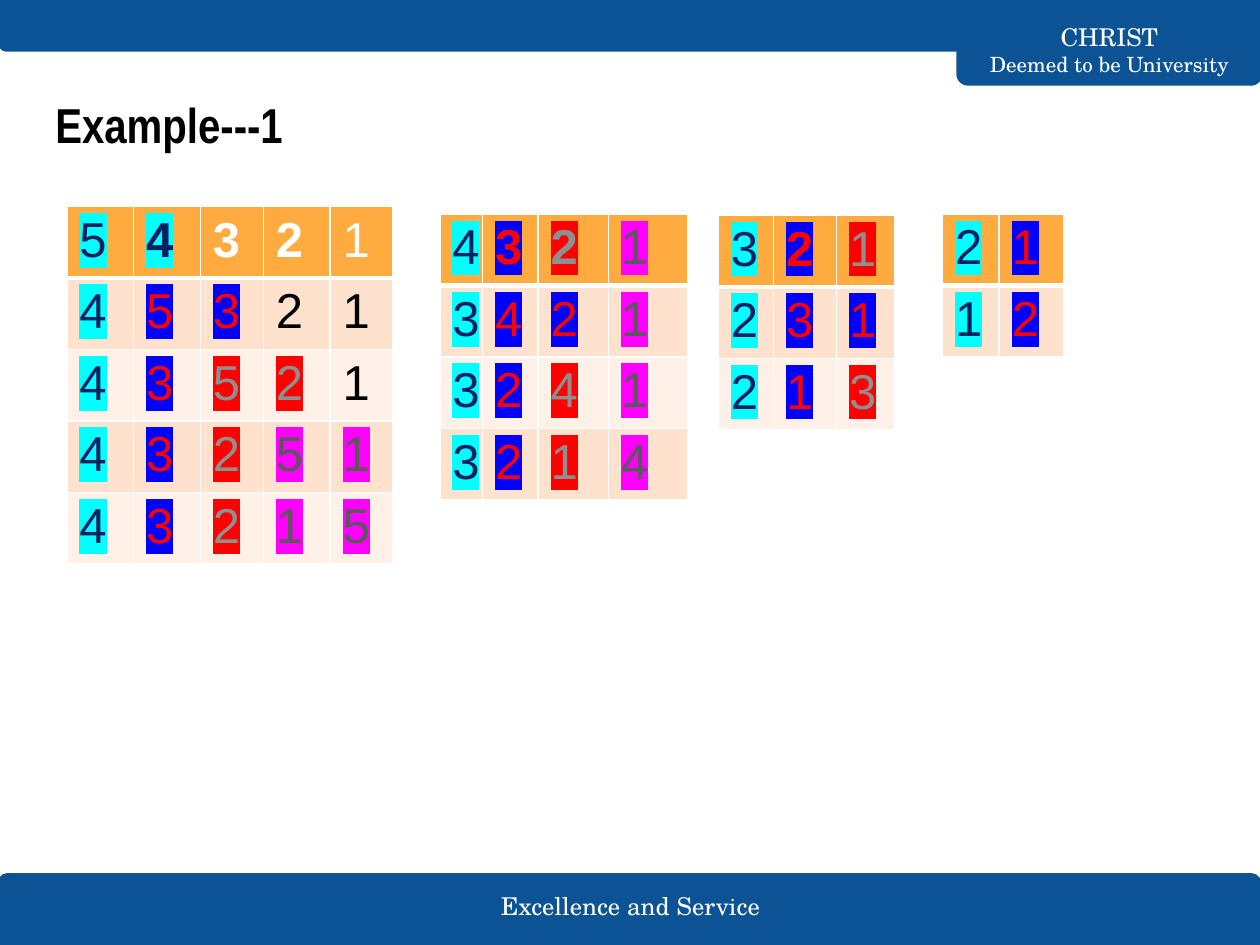
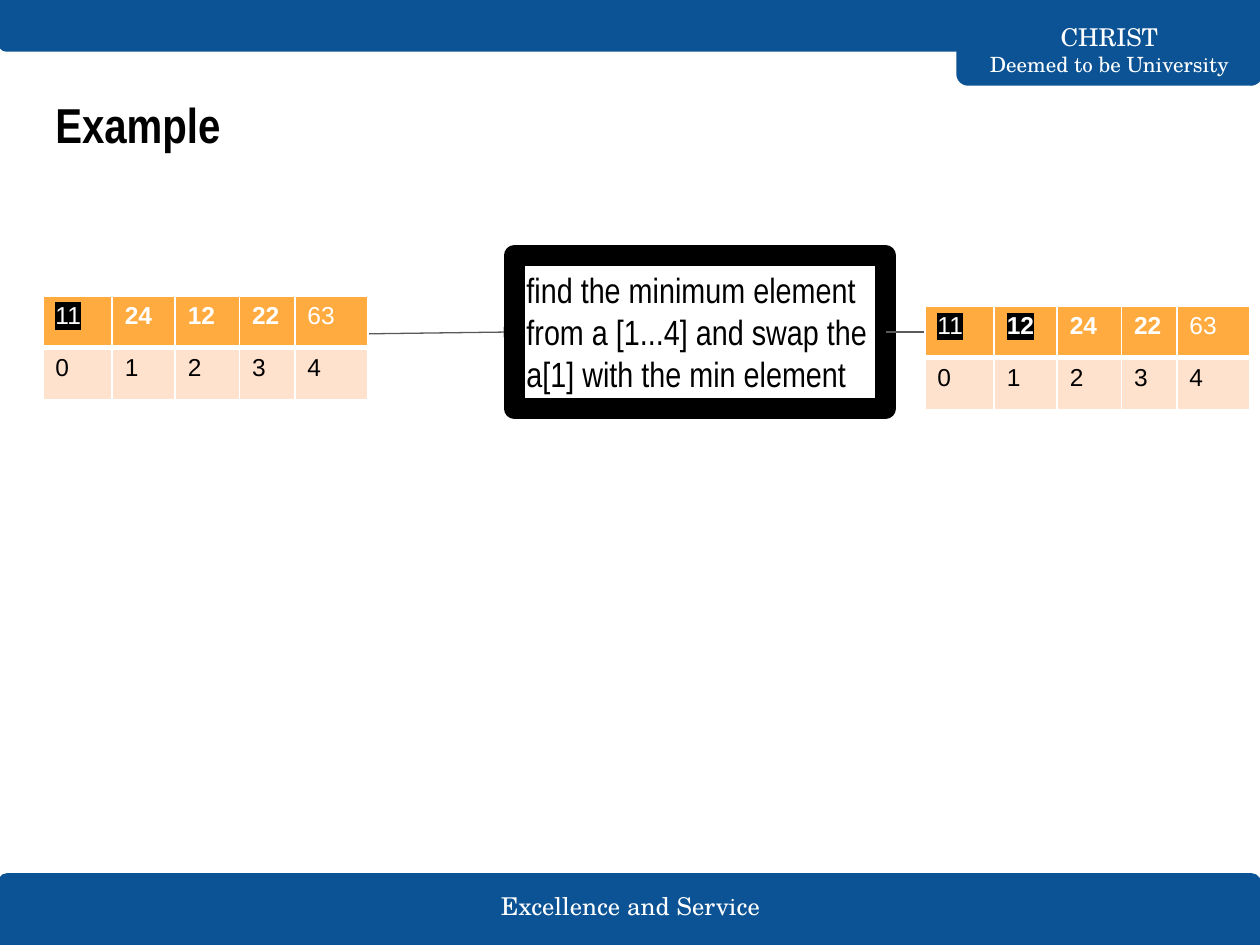
"""Build two slides that walk through small sorting examples with number tables."""
import dataclasses
import typing

import lxml.etree
import pptx
import pptx.dml.color
import pptx.enum.shapes
import pptx.enum.text
import pptx.oxml.ns
import pptx.presentation
import pptx.shapes.autoshape
import pptx.shapes.connector
import pptx.slide
import pptx.util

SLIDE_WIDTH = pptx.util.Inches(10)
SLIDE_HEIGHT = pptx.util.Inches(7.5)
GRID_COLUMNS, GRID_ROWS = 100, 75

COLOURS = {
    "band": "0B5394", "white": "FFFFFF", "black": "000000", "wire": "595959",
    "header": "FFAB40", "odd row": "FFE2CD", "even row": "FFF1E8",
    "navy": "002060", "cyan": "00FFFF", "red": "FF0000", "blue": "0000FF",
    "grey": "8F8F8F", "dark grey": "595959", "magenta": "FF00FF",
}
SERIF, NARROW, SANS = "TeX Gyre Schola", "Arial Narrow", "Arial"


class Mark(typing.NamedTuple):
    """Ink of a number and the highlight behind it."""
    ink: str
    highlight: str | None = None


MARKS = {
    "c": Mark("navy", "cyan"), "b": Mark("red", "blue"),
    "r": Mark("grey", "red"), "m": Mark("dark grey", "magenta"),
    "x": Mark("white", "black"), "w": Mark("white"), "k": Mark("black"),
}


class Area(typing.NamedTuple):
    """A rectangle in grid columns and rows."""
    left: float
    top: float
    width: float
    height: float

    def lengths(self) -> tuple[int, int, int, int]:
        """Return the rectangle in slide units."""
        return across(self.left), down(self.top), across(self.width), down(self.height)


class Line(typing.NamedTuple):
    """One paragraph and its font."""
    text: str
    size: float
    font: str
    ink: str
    bold: bool = False


class Band(typing.NamedTuple):
    """A coloured band with two rounded corners."""
    area: Area
    rotation: int


@dataclasses.dataclass
class NumberTable:
    """A table whose cells are written as a number and its mark letter."""
    left: float
    top: float
    widths: list[float]
    rows: list[str]
    row_height: float = 5.35
    size: int = 28


BANDS = [
    Band(Area(-0.1, 69.4, 100.1, 5.6), 0),
    Band(Area(76, 0, 24.1, 6.7), 180),
    Band(Area(0, 0, 100.1, 4), 180),
]
BANNER_TEXTS = [
    (Area(36.6, 70.3, 26.9, 3.2), [Line("Excellence and Service", 14, SERIF, "white")]),
    (Area(76, 2.7, 24.1, 2.5), [Line("CHRIST", 14, SERIF, "white"),
                                Line("Deemed to be University", 12, SERIF, "white")]),
]
TITLE_AREA = Area(3.4, 6.5, 93.2, 8.3)

SWAP_TABLES = [
    NumberTable(5.3, 16.4, [5.3, 5.3, 5, 5.3, 5], [
        "5c 4c 3w 2w 1w", "4c 5b 3b 2k 1k", "4c 3b 5r 2r 1k",
        "4c 3b 2r 5m 1m", "4c 3b 2r 1m 5m"]),
    NumberTable(34.9, 17, [3.4, 4.4, 5.6, 6.3], [
        "4c 3b 2r 1m", "3c 4b 2b 1m", "3c 2b 4r 1m", "3c 2b 1r 4m"]),
    NumberTable(57, 17.1, [4.4, 5, 4.6], ["3c 2b 1r", "2c 3b 1b", "2c 1b 3r"]),
    NumberTable(74.8, 17, [4.5, 5.1], ["2c 1b", "1c 2b"]),
]
INDEX_WIDTHS = [5.5, 5, 5.1, 4.4, 5.8]
INDEX_ROW = "0k 1k 2k 3k 4k"
INDEX_TABLES = [
    NumberTable(73.4, 24.3, INDEX_WIDTHS, ["11x 12x 24w 22w 63w", INDEX_ROW], 4.1, 14),
    NumberTable(3.4, 23.5, INDEX_WIDTHS, ["11x 24w 12w 22w 63w", INDEX_ROW], 4.1, 14),
]
STEP_AREA = Area(40.8, 20.3, 29.5, 12.1)
STEP = Line("find the minimum element from a [1...4] and swap the a[1] with the min element",
            20, NARROW, "black")


def across(columns: float) -> int:
    """Convert grid columns to slide units."""
    return round(SLIDE_WIDTH * columns / GRID_COLUMNS)


def down(rows: float) -> int:
    """Convert grid rows to slide units."""
    return round(SLIDE_HEIGHT * rows / GRID_ROWS)


def colour(name: str) -> pptx.dml.color.RGBColor:
    """Look up a named colour."""
    return pptx.dml.color.RGBColor.from_string(COLOURS[name])


def element(parent: lxml.etree._Element, tag: str, **attributes: str) -> lxml.etree._Element:
    """Append a drawing element to a parent."""
    return lxml.etree.SubElement(parent, pptx.oxml.ns.qn(tag), attributes)


def write(frame: typing.Any, lines: list[Line], align: typing.Any, anchor: typing.Any) -> None:
    """Fill a text frame with paragraphs."""
    frame.word_wrap = True
    frame.vertical_anchor = anchor
    frame.margin_left = frame.margin_right = across(1)
    frame.margin_top = frame.margin_bottom = down(1)
    for index, line in enumerate(lines):
        para = frame.add_paragraph() if index else frame.paragraphs[0]
        para.text = line.text
        para.alignment = align
        para.font.size = pptx.util.Pt(line.size)
        para.font.name = line.font
        para.font.bold = line.bold
        para.font.color.rgb = colour(line.ink)


def add_frame(page: pptx.slide.Slide, title: str) -> None:
    """Draw the bands, the banner texts and the title."""
    for band in BANDS:
        shape = page.shapes.add_shape(
            pptx.enum.shapes.MSO_SHAPE.ROUND_2_SAME_RECTANGLE, *band.area.lengths())
        shape.adjustments[0] = 0.125
        shape.rotation = band.rotation
        shape.shadow.inherit = False
        shape.fill.solid()
        shape.fill.fore_color.rgb = colour("band")
        shape.line.color.rgb = colour("band")
        shape.line.width = pptx.util.Pt(1.5)
    for area, lines in BANNER_TEXTS:
        box = page.shapes.add_textbox(*area.lengths())
        write(box.text_frame, lines, pptx.enum.text.PP_ALIGN.CENTER,
              pptx.enum.text.MSO_ANCHOR.MIDDLE)
    box = page.shapes.add_textbox(*TITLE_AREA.lengths())
    write(box.text_frame, [Line(title, 28, NARROW, "black", True)],
          pptx.enum.text.PP_ALIGN.LEFT, pptx.enum.text.MSO_ANCHOR.TOP)


def add_borders(cell: typing.Any, row_index: int) -> None:
    """Draw white cell borders, with a thick one below the header."""
    properties = cell._tc.get_or_add_tcPr()
    thick_side = {0: "B", 1: "T"}.get(row_index)
    for position, side in enumerate("LRTB"):
        width = pptx.util.Pt(3 if side == thick_side else 1)
        border = element(properties, f"a:ln{side}", w=str(width))
        element(element(border, "a:solidFill"), "a:srgbClr", val=COLOURS["white"])
        properties.insert(position, border)


def write_number(cell: typing.Any, code: str, size: int, bold: bool) -> None:
    """Write one marked number into a cell."""
    mark = MARKS[code[-1]]
    para = cell.text_frame.paragraphs[0]
    para.font.size = pptx.util.Pt(size)
    para.font.name = SANS
    para.font.bold = bold
    span = para.add_run()
    span.text = code[:-1]
    span.font.color.rgb = colour(mark.ink)
    if mark.highlight:
        highlight = element(span._r.get_or_add_rPr(), "a:highlight")
        element(highlight, "a:srgbClr", val=COLOURS[mark.highlight])


def add_number_table(page: pptx.slide.Slide, numbers: NumberTable) -> None:
    """Draw a table of marked numbers."""
    area = Area(numbers.left, numbers.top, sum(numbers.widths),
                numbers.row_height * len(numbers.rows))
    table = page.shapes.add_table(
        len(numbers.rows), len(numbers.widths), *area.lengths()).table
    table.first_row = table.horz_banding = False
    for column, width in zip(table.columns, numbers.widths):
        column.width = across(width)
    last_column = len(numbers.widths) - 1
    for row_index, codes in enumerate(numbers.rows):
        table.rows[row_index].height = down(numbers.row_height)
        row_fill = "header" if row_index == 0 else ("even row", "odd row")[row_index % 2]
        for column_index, code in enumerate(codes.split()):
            cell = table.cell(row_index, column_index)
            cell.margin_left = cell.margin_right = across(1)
            cell.margin_top = cell.margin_bottom = down(0.5)
            cell.fill.solid()
            cell.fill.fore_color.rgb = colour(row_fill)
            add_borders(cell, row_index)
            write_number(cell, code, numbers.size,
                         row_index == 0 and 0 < column_index < last_column)


def add_arrow(page: pptx.slide.Slide, start: tuple[float, float],
              end: tuple[float, float]) -> pptx.shapes.connector.Connector:
    """Draw a thin straight arrow between two grid points."""
    arrow = page.shapes.add_connector(
        pptx.enum.shapes.MSO_CONNECTOR.STRAIGHT,
        across(start[0]), down(start[1]), across(end[0]), down(end[1]))
    arrow.line.color.rgb = colour("wire")
    arrow.line.width = pptx.util.Pt(0.75)
    element(arrow.line._get_or_add_ln(), "a:tailEnd", type="triangle")
    element(arrow._element.spPr, "a:effectLst")
    return arrow


def add_step_box(page: pptx.slide.Slide) -> pptx.shapes.autoshape.Shape:
    """Draw the thickly outlined box that explains the step."""
    box = page.shapes.add_shape(pptx.enum.shapes.MSO_SHAPE.RECTANGLE, *STEP_AREA.lengths())
    box.shadow.inherit = False
    box.fill.background()
    box.line.color.rgb = colour("black")
    box.line.width = pptx.util.Pt(12)
    element(box.line._get_or_add_ln(), "a:round")
    write(box.text_frame, [STEP], pptx.enum.text.PP_ALIGN.LEFT,
          pptx.enum.text.MSO_ANCHOR.TOP)
    box.text_frame.auto_size = pptx.enum.text.MSO_AUTO_SIZE.SHAPE_TO_FIT_TEXT
    return box


def add_page(deck: pptx.presentation.Presentation, title: str) -> pptx.slide.Slide:
    """Add a blank page with the shared frame."""
    page = deck.slides.add_slide(deck.slide_layouts[6])
    add_frame(page, title)
    return page


def add_step(page: pptx.slide.Slide) -> None:
    """Draw the step box with an arrow in and an arrow out."""
    middle = STEP_AREA.top + STEP_AREA.height / 2
    arrow_in = add_arrow(page, (28.7, 26.5), (STEP_AREA.left, middle))
    box = add_step_box(page)
    arrow_in.end_connect(box, 1)
    arrow_out = add_arrow(page, (STEP_AREA.left + STEP_AREA.width, middle), (79.1, middle))
    arrow_out.begin_connect(box, 3)


def main() -> None:
    """Build and save the deck."""
    deck = pptx.Presentation()
    deck.slide_width, deck.slide_height = SLIDE_WIDTH, SLIDE_HEIGHT
    swap_page = add_page(deck, "Example---1")
    for numbers in SWAP_TABLES:
        add_number_table(swap_page, numbers)
    step_page = add_page(deck, "Example")
    add_step(step_page)
    for numbers in INDEX_TABLES:
        add_number_table(step_page, numbers)
    deck.save("out.pptx")


if __name__ == "__main__":
    main()
